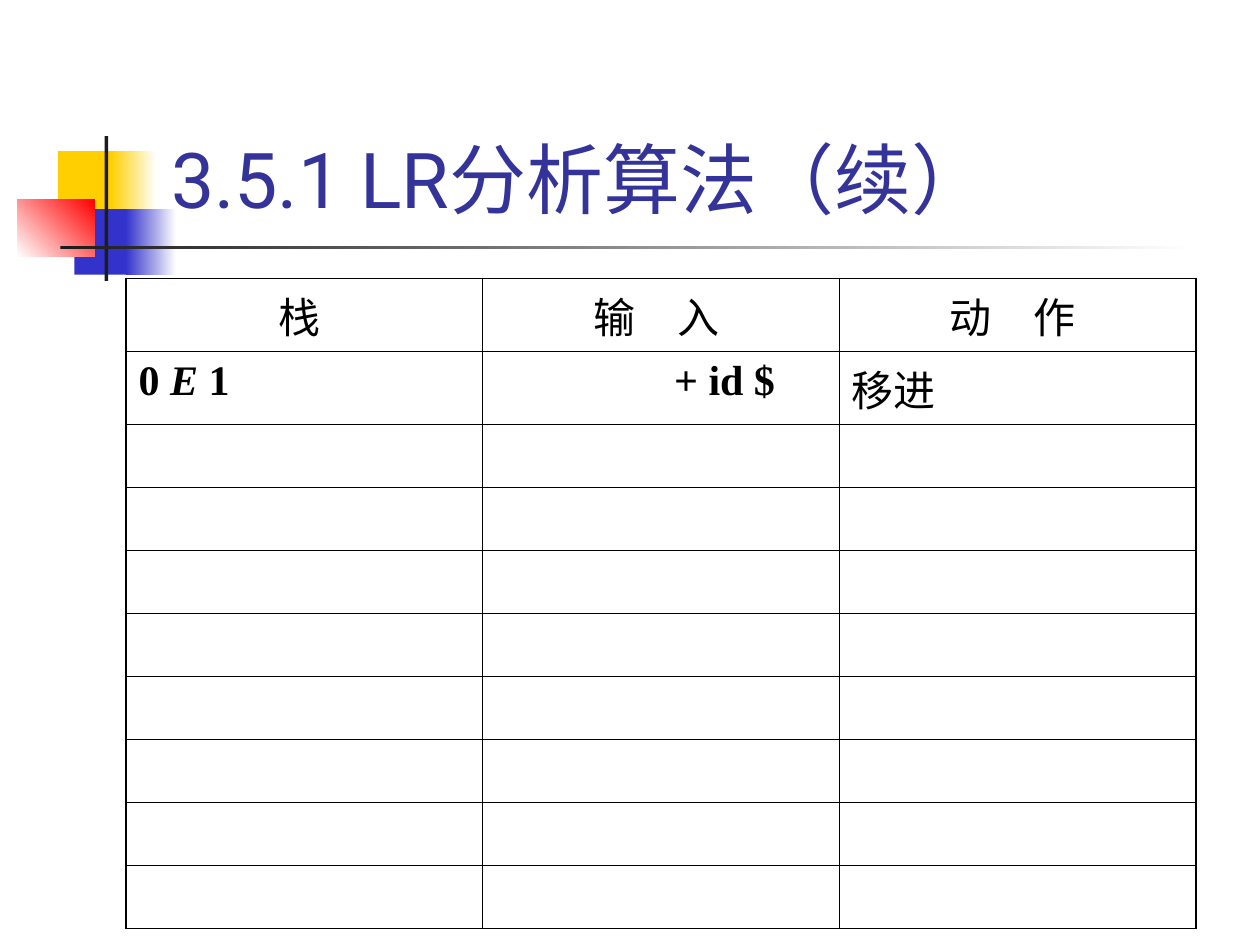
from typing import NamedTuple, Optional

from lxml import etree
from pptx import Presentation
from pptx.dml.color import RGBColor as RGB
from pptx.enum.shapes import MSO_SHAPE as Shape
from pptx.enum.text import MSO_ANCHOR as Anchor, PP_ALIGN as Align
from pptx.oxml.ns import qn
from pptx.util import Inches, Pt

COLORS = {
    "yellow": "FFCF01", "blue": "3333CC", "red": "FF0000", "dark": "1C1C1C",
    "white": "FFFFFF", "title": "333399", "black": "000000",
}
CJK, SANS, SERIF = "Noto Sans CJK SC", "Roboto", "Times New Roman"
ROW_COUNT, COLUMN_COUNT = 10, 3
TEXT_ROW, EMPTY_ROW, COLUMN_WIDTH = 0.58, 0.5, 2.83
INNER_LINE, OUTER_LINE = 0.45, 1.08


class Block(NamedTuple):
    left: float
    top: float
    width: float
    height: float
    color: str
    fade_to: Optional[str] = None
    angle: float = 0


class Piece(NamedTuple):
    text: str
    font: str = CJK
    bold: bool = False
    italic: bool = False


class Entry(NamedTuple):
    row: int
    column: int
    pieces: list[Piece]
    align: Align = Align.LEFT
    indent: float = 0


BLOCKS = [
    Block(0.46, 1.2, 0.48, 0.52, "yellow"),
    Block(0.88, 1.2, 0.36, 0.52, "yellow", "white"),
    Block(0.59, 1.66, 0.46, 0.52, "blue"),
    Block(1, 1.66, 0.4, 0.52, "blue", "white"),
    Block(0.14, 1.58, 0.61, 0.46, "white", "red", 45),
    Block(0.83, 1.08, 0.03, 1.15, "dark"),
    Block(0.48, 1.95, 9, 0.03, "dark", "white"),
]
HEADINGS = ["栈 ", "输　入 ", "动　作 "]
ENTRIES = [Entry(0, column, [Piece(heading)], Align.CENTER)
           for column, heading in enumerate(HEADINGS)] + [
    Entry(1, 0, [Piece("0 ", SERIF, True), Piece("E", SERIF, True, True),
                 Piece(" 1", SERIF, True)]),
    Entry(1, 1, [Piece("+ id $", SERIF, True)], indent=1.42),
    Entry(1, 2, [Piece("移进")]),
]


def rgb(name: str) -> RGB:
    return RGB.from_string(COLORS[name])


def draw_block(slide, block: Block) -> None:
    shape = slide.shapes.add_shape(
        Shape.RECTANGLE, Inches(block.left), Inches(block.top),
        Inches(block.width), Inches(block.height))
    shape.shadow.inherit = False
    shape.line.fill.background()
    if block.fade_to is None:
        shape.fill.solid()
        shape.fill.fore_color.rgb = rgb(block.color)
        return
    shape.fill.gradient()
    shape.fill.gradient_angle = block.angle
    for stop, name in zip(shape.fill.gradient_stops, (block.color, block.fade_to)):
        stop.color.rgb = rgb(name)


def style_run(run, font: str, size: float, color: str) -> None:
    """Set the Latin font, the East Asian font, the size and the colour."""
    run.font.name, run.font.size = font, Pt(size)
    run.font.color.rgb = rgb(color)
    east_asian = etree.Element(qn("a:ea"), typeface=CJK)
    run.font._element.find(qn("a:latin")).addnext(east_asian)


def draw_title(slide, title: str) -> None:
    box = slide.shapes.add_textbox(Inches(1.26), Inches(0.23), Inches(8.52), Inches(1.6))
    frame = box.text_frame
    frame.word_wrap = True
    frame.vertical_anchor = Anchor.BOTTOM
    frame.text = title
    style_run(frame.paragraphs[0].runs[0], SANS, 44, "title")


def set_borders(cell, row: int, column: int) -> None:
    """Give the table's outer edges a thicker line than the inner grid."""
    outer_edges = {
        "L": column == 0, "R": column == COLUMN_COUNT - 1,
        "T": row == 0, "B": row == ROW_COUNT - 1,
    }
    properties = cell._tc.get_or_add_tcPr()
    for position, (side, is_outer) in enumerate(outer_edges.items()):
        width = Pt(OUTER_LINE if is_outer else INNER_LINE)
        line = etree.Element(qn(f"a:ln{side}"), w=str(int(width)))
        fill = etree.SubElement(line, qn("a:solidFill"))
        etree.SubElement(fill, qn("a:srgbClr"), val=COLORS["black"])
        properties.insert(position, line)


def write_entry(table, entry: Entry) -> None:
    paragraph = table.cell(entry.row, entry.column).text_frame.paragraphs[0]
    paragraph.alignment = entry.align
    if entry.indent:
        paragraph._p.get_or_add_pPr().set("marL", str(int(Inches(entry.indent))))
    for piece in entry.pieces:
        run = paragraph.add_run()
        run.text = piece.text
        style_run(run, piece.font, 24, "black")
        run.font.bold, run.font.italic = piece.bold, piece.italic


def draw_parse_table(slide) -> None:
    heights = [TEXT_ROW] * 2 + [EMPTY_ROW] * (ROW_COUNT - 2)
    table = slide.shapes.add_table(
        ROW_COUNT, COLUMN_COUNT, Inches(1), Inches(2.21),
        Inches(COLUMN_WIDTH * COLUMN_COUNT), Inches(sum(heights))).table
    table.first_row = table.horz_banding = False
    for column in table.columns:
        column.width = Inches(COLUMN_WIDTH)
    for row, height in zip(table.rows, heights):
        row.height = Inches(height)
    for row in range(ROW_COUNT):
        for column in range(COLUMN_COUNT):
            cell = table.cell(row, column)
            cell.fill.background()
            set_borders(cell, row, column)
    for entry in ENTRIES:
        write_entry(table, entry)


def main() -> None:
    presentation = Presentation()
    presentation.slide_width, presentation.slide_height = Inches(10), Inches(7.5)
    slide = presentation.slides.add_slide(presentation.slide_layouts[6])
    for block in BLOCKS:
        draw_block(slide, block)
    draw_title(slide, "3.5.1 LR分析算法（续）")
    draw_parse_table(slide)
    presentation.save("out.pptx")


if __name__ == "__main__":
    main()
